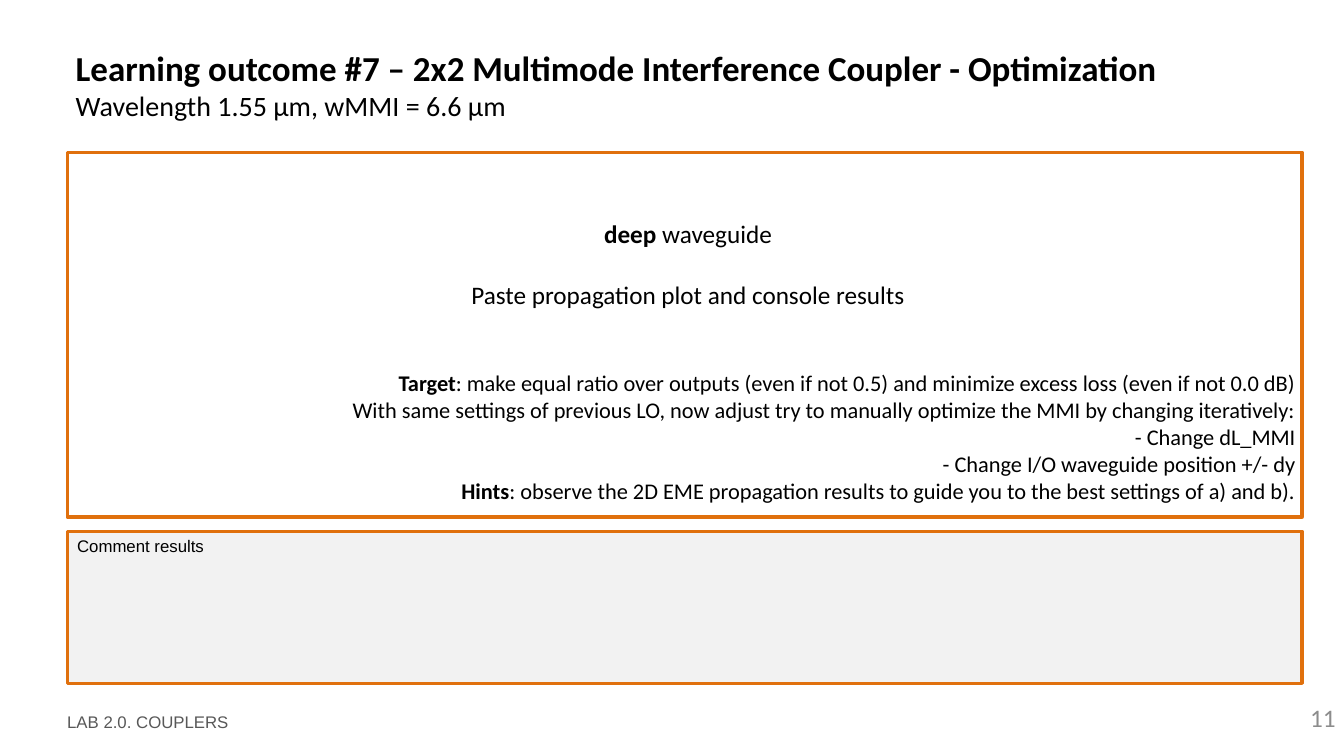
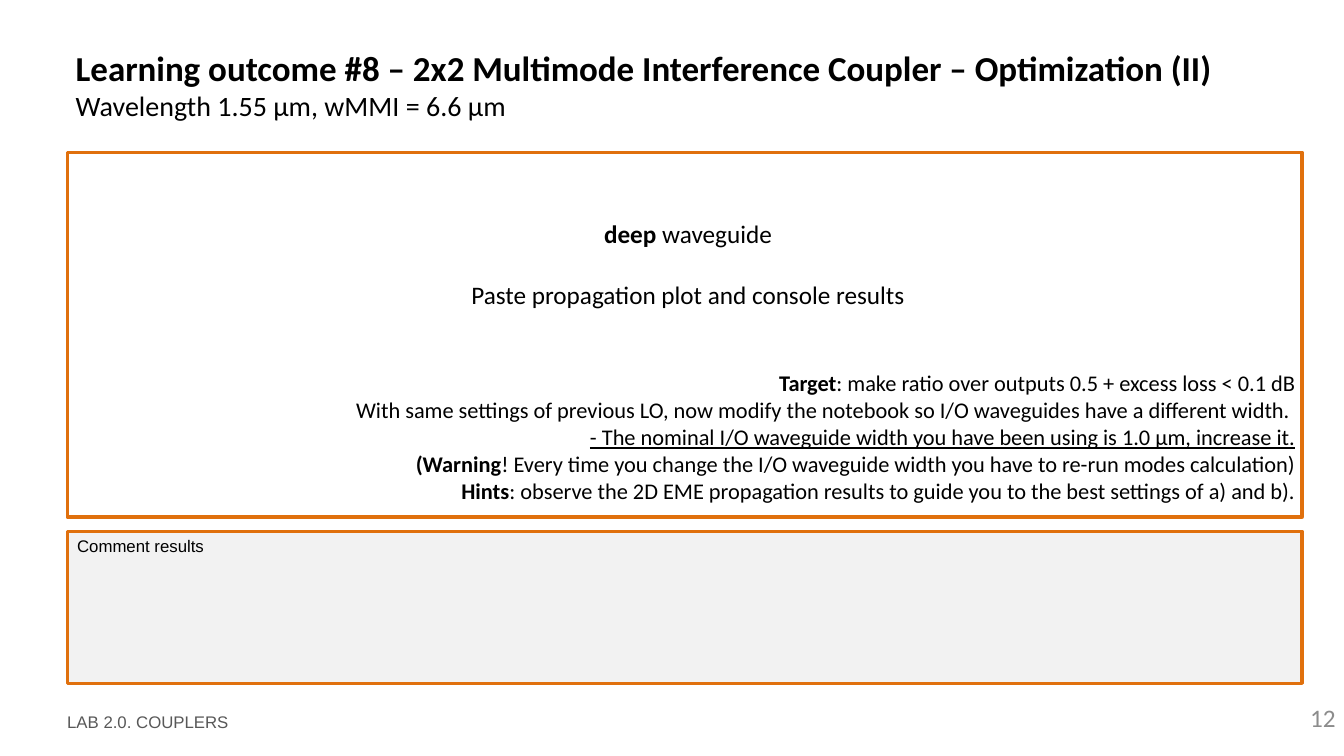
import pptx
import pptx.dml.color
import pptx.enum.shapes
import pptx.enum.text
import pptx.util

RGB = pptx.dml.color.RGBColor.from_string
ALIGN = pptx.enum.text.PP_ALIGN
ANCHOR = pptx.enum.text.MSO_ANCHOR

# Theme: colours, line width and type styles
THEME = {
    "border": RGB("E0700D"),
    "comment_fill": RGB("F2F2F2"),
    "border_width": pptx.util.Pt(2.25),
    "title": {"name": "Calibri", "size": pptx.util.Pt(25), "color": RGB("000000"), "bold": True},
    "subtitle": {"name": "Calibri", "size": pptx.util.Pt(20), "color": RGB("000000")},
    "prompt": {"name": "Calibri", "size": pptx.util.Pt(18), "color": RGB("000000")},
    "task": {"name": "Calibri", "size": pptx.util.Pt(16), "color": RGB("000000")},
    "comment": {"name": "Arial", "size": pptx.util.Pt(12), "color": RGB("000000")},
    "footer": {"name": "Arial", "size": pptx.util.Pt(12), "color": RGB("585858")},
    "number": {"name": "Calibri", "size": pptx.util.Pt(18), "color": RGB("8C8C8C")},
}
BOLD = {"bold": True}
UNDERLINE = {"underline": True}

presentation = pptx.Presentation()
presentation.slide_width = pptx.util.Inches(13.33)
presentation.slide_height = pptx.util.Inches(7.5)

# Grid of 100 columns by 100 rows: left, top, width, height
LEFT, WIDTH = 5, 91.88
AREAS = {
    "title": (5.63, 6.13, 90.15, 10.27),
    "results": (LEFT, 20.13, WIDTH, 48.27),
    "instructions": (LEFT + 0.25, 28.27, WIDTH, 39.47),
    "comment": (LEFT, 70.27, WIDTH, 20.13),
    "footer": (LEFT, 94.13, 22.5, 2.67),
    "number": (76.35, 92.93, 23.03, 5.07),
}


def place(area):
    column = presentation.slide_width / 100
    row = presentation.slide_height / 100
    left, top, width, height = AREAS[area]
    return int(left * column), int(top * row), int(width * column), int(height * row)


def write(shape, paragraphs, inset=None, anchor=ANCHOR.TOP):
    """Fill a shape; each paragraph is (style, alignment, points before, runs)."""
    frame = shape.text_frame
    frame.word_wrap = True
    frame.vertical_anchor = anchor
    if inset is not None:
        for side in ("left", "top", "right", "bottom"):
            setattr(frame, f"margin_{side}", inset)
    for index, (style, alignment, before, runs) in enumerate(paragraphs):
        paragraph = frame.add_paragraph() if index else frame.paragraphs[0]
        paragraph.alignment = alignment
        if before:
            paragraph.space_before = pptx.util.Pt(before)
        for text, emphasis in runs:
            run = paragraph.add_run()
            run.text = text
            for name, value in {**THEME[style], **emphasis}.items():
                if name == "color":
                    run.font.color.rgb = value
                else:
                    setattr(run.font, name, value)


# Content that differs between the slides
HINTS = [("Hints", BOLD),
         (": observe the 2D EME propagation results to guide you to the best settings of a) and b).", {})]
OUTCOMES = [
    (11, "Learning outcome #7 – 2x2 Multimode Interference Coupler - Optimization", [
        [("Target", BOLD),
         (": make equal ratio over outputs (even if not 0.5) and minimize excess loss (even if not 0.0 dB)", {})],
        [("With same settings of previous LO, now adjust try to manually optimize the MMI "
          "by changing iteratively:", {})],
        [("- Change dL_MMI", {})],
        [("- Change I/O waveguide position +/- dy", {})],
    ]),
    (12, "Learning outcome #8 – 2x2 Multimode Interference Coupler – Optimization (II)", [
        [("Target", BOLD), (": make ratio over outputs 0.5 + excess loss < 0.1 dB", {})],
        [("With same settings of previous LO, now modify the notebook so I/O waveguides "
          "have a different width. ", {})],
        [("- The nominal I/O waveguide width you have been using is 1.0 µm, increase it.", UNDERLINE)],
        [("(Warning", BOLD),
         ("! Every time you change the I/O waveguide width you have to re-run modes calculation)", {})],
    ]),
]

for number, title, tasks in OUTCOMES:
    slide = presentation.slides.add_slide(presentation.slide_layouts[6])

    # Title, page number and footer
    write(slide.shapes.add_textbox(*place("title")), [
        ("title", ALIGN.LEFT, 0, [(title, {})]),
        ("subtitle", ALIGN.LEFT, 0, [("Wavelength 1.55 µm, wMMI = 6.6 µm", {})]),
    ], inset=0)
    write(slide.shapes.add_textbox(*place("number")),
          [("number", ALIGN.RIGHT, 0, [(str(number), {})])], inset=0)
    write(slide.shapes.add_textbox(*place("footer")),
          [("footer", ALIGN.LEFT, 0, [("LAB 2.0. COUPLERS", {})])], inset=0, anchor=ANCHOR.MIDDLE)

    # Framed areas for the comment and the results
    frames = {}
    for area in ("comment", "results"):
        shape = slide.shapes.add_shape(pptx.enum.shapes.MSO_SHAPE.RECTANGLE, *place(area))
        shape.shadow.inherit = False
        shape.fill.background()
        shape.line.color.rgb = THEME["border"]
        shape.line.width = THEME["border_width"]
        frames[area] = shape
    frames["comment"].fill.solid()
    frames["comment"].fill.fore_color.rgb = THEME["comment_fill"]
    write(frames["comment"], [("comment", ALIGN.JUSTIFY, 0, [("Comment results", {})])])

    # Prompt in the middle, task lines on the right
    paragraphs = [
        ("prompt", ALIGN.CENTER, 0, [("deep", BOLD), (" waveguide", {})]),
        ("prompt", ALIGN.CENTER, 21.5, [("Paste propagation plot and console results", {})]),
    ]
    for index, runs in enumerate(tasks + [HINTS]):
        paragraphs.append(("task", ALIGN.RIGHT, 0 if index else 43, runs))
    write(slide.shapes.add_textbox(*place("instructions")), paragraphs)

presentation.save("out.pptx")
